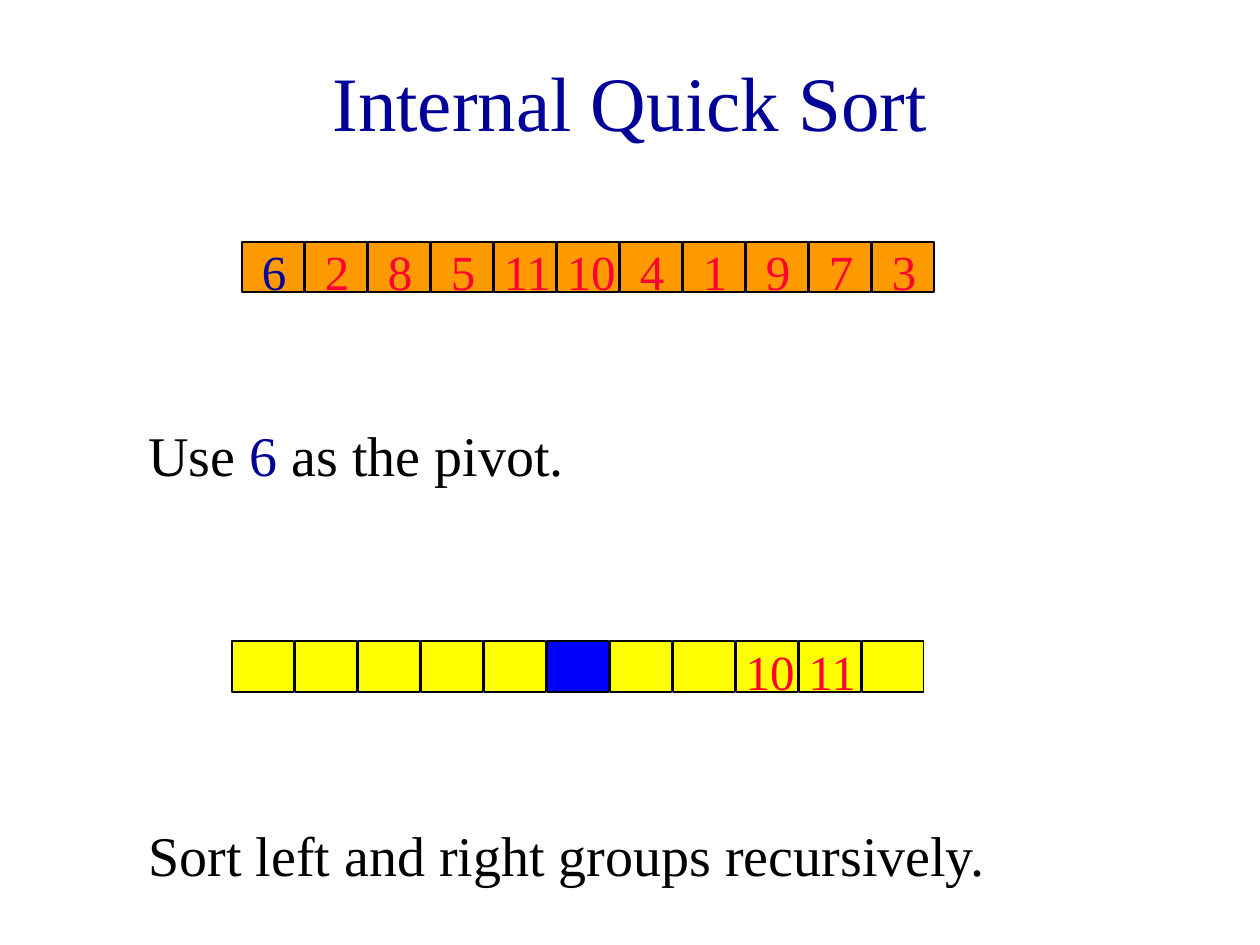
from dataclasses import dataclass

from pptx import Presentation
from pptx.dml.color import RGBColor
from pptx.enum.shapes import MSO_SHAPE
from pptx.enum.text import MSO_ANCHOR, PP_ALIGN
from pptx.util import Inches, Pt

NAVY = RGBColor(0x00, 0x00, 0x99)
RED = RGBColor(0xFF, 0x00, 0x33)
ORANGE = RGBColor(0xFF, 0x99, 0x00)
YELLOW = RGBColor(0xFF, 0xFF, 0x00)
BLUE = RGBColor(0x00, 0x00, 0xFF)
BLACK = RGBColor(0x00, 0x00, 0x00)

FONT = "Times New Roman"
PITCH = 0.5
CELL_WIDTH = 0.49
CELL_HEIGHT = 0.4


@dataclass
class Cell:
    label: str
    fill: RGBColor
    color: RGBColor = RED


@dataclass
class ArrayRow:
    left: float
    top: float
    cells: list[Cell]


@dataclass
class Span:
    text: str
    color: RGBColor = BLACK


def add_text(shapes, left: float, top: float, width: float, height: float,
             size: int, spans: list[Span], inset: float = 0.09):
    box = shapes.add_textbox(Inches(left), Inches(top), Inches(width), Inches(height))
    frame = box.text_frame
    frame.word_wrap = True
    frame.margin_top = Inches(inset)
    para = frame.paragraphs[0]
    for span in spans:
        run = para.add_run()
        run.text = span.text
        run.font.name = FONT
        run.font.size = Pt(size)
        run.font.color.rgb = span.color
    return box


def add_array(page, row: ArrayRow) -> None:
    group = page.shapes.add_group_shape()
    for index, cell in enumerate(row.cells):
        left = row.left + index * PITCH
        square = group.shapes.add_shape(
            MSO_SHAPE.RECTANGLE, Inches(left), Inches(row.top),
            Inches(CELL_WIDTH), Inches(CELL_HEIGHT))
        square.shadow.inherit = False
        square.fill.solid()
        square.fill.fore_color.rgb = cell.fill
        square.line.color.rgb = BLACK
        square.line.width = Pt(1)
        if cell.label:
            wide = len(cell.label) > 1
            add_text(group.shapes, left + (-0.02 if wide else 0.06), row.top - 0.09,
                     0.77 if wide else 0.52, 0.57, 28, [Span(cell.label, cell.color)])


def main() -> None:
    deck = Presentation()
    deck.slide_width, deck.slide_height = Inches(10), Inches(7.5)
    page = deck.slides.add_slide(deck.slide_layouts[6])

    title = add_text(page.shapes, 0.75, 0.17, 8.5, 1.25, 44,
                     [Span("Internal Quick Sort", NAVY)], inset=0.05)
    title.text_frame.vertical_anchor = MSO_ANCHOR.MIDDLE
    title.text_frame.paragraphs[0].alignment = PP_ALIGN.CENTER

    pivot = 6
    numbers = [pivot, 2, 8, 5, 11, 10, 4, 1, 9, 7, 3]
    unsorted_cells = [Cell(str(number), ORANGE, NAVY if number == pivot else RED)
                      for number in numbers]
    pivot_slot = sum(number < pivot for number in numbers)
    placed = {8: "10", 9: "11"}
    split_cells = [Cell(placed.get(slot, ""), BLUE if slot == pivot_slot else YELLOW)
                   for slot in range(len(numbers))]

    add_array(page, ArrayRow(1.92, 1.92, unsorted_cells))
    add_text(page.shapes, 1.08, 3.25, 7.83, 0.63, 32,
             [Span("Use "), Span("6 ", NAVY), Span("as the pivot.")])
    add_array(page, ArrayRow(1.84, 5.09, split_cells))
    add_text(page.shapes, 1.08, 6.42, 7.83, 0.63, 32,
             [Span("Sort left and right groups recursively.")])

    deck.save("out.pptx")


if __name__ == "__main__":
    main()
